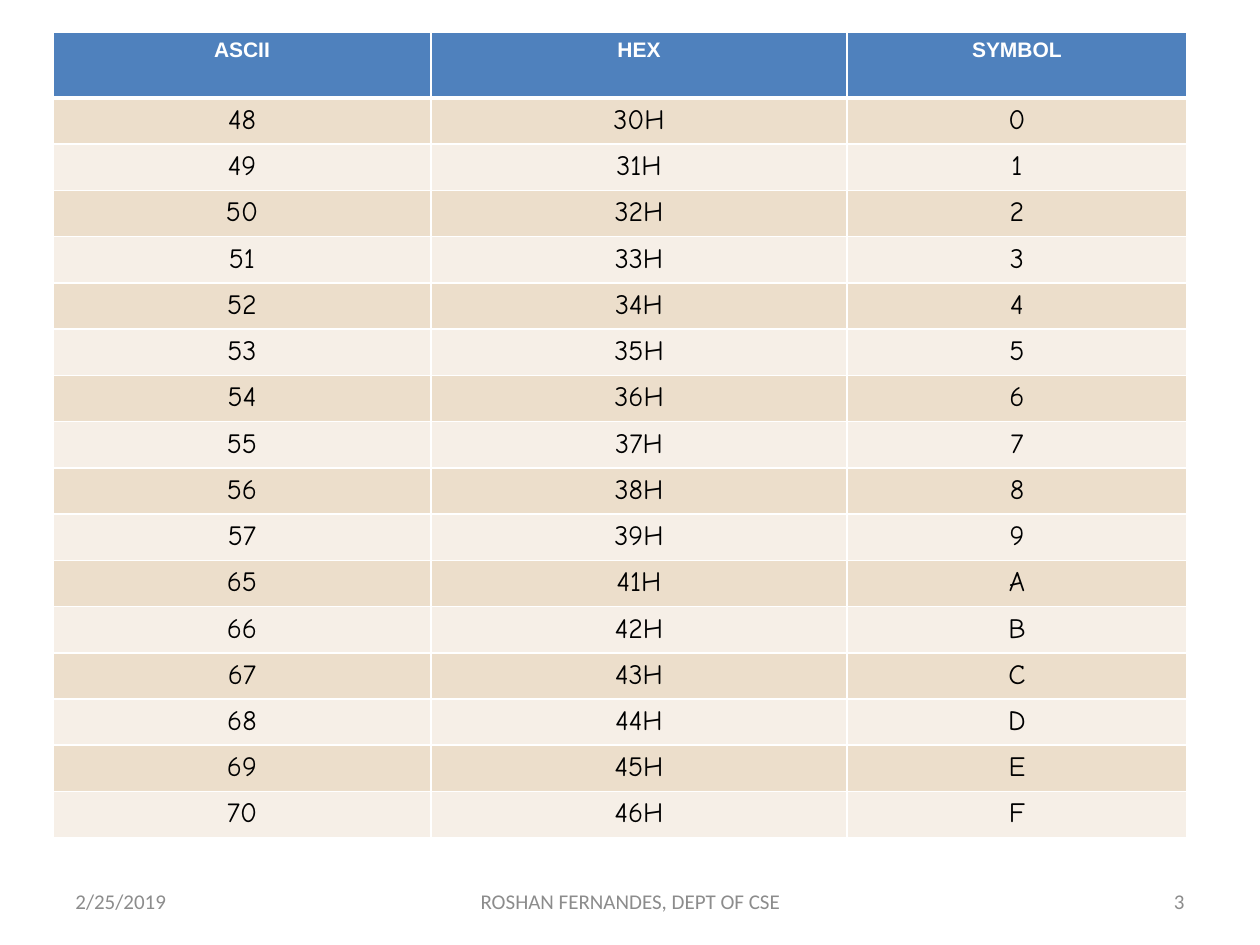
"""Build a slide with a table of ASCII codes for the hexadecimal digits."""
from lxml.etree import SubElement
from pptx import Presentation
from pptx.dml.color import RGBColor
from pptx.enum.text import MSO_ANCHOR, PP_ALIGN as Align
from pptx.oxml.ns import qn
from pptx.util import Emu, Pt

HEADINGS = ("ASCII", "HEX", "SYMBOL")
SYMBOLS = "0123456789ABCDEF"
FOOTERS = (
    ("2/25/2019", 63, 294, Align.LEFT),
    ("ROSHAN FERNANDES, DEPT OF CSE", 431, 399, Align.CENTER),
    ("3", 903, 294, Align.RIGHT),
)
COLORS = {
    "header": "4F81BD", "odd": "ECDECB", "even": "F6EFE7", "rule": "FFFFFF",
    "heading": "FFFFFF", "entry": "000000", "footer": "8C8C8C",
}
FONTS = {
    "heading": {"name": "Arial", "size": Pt(12), "bold": True},
    "entry": {"name": "Comic Neue", "size": Pt(16), "bold": False},
    "footer": {"name": "Calibri", "size": Pt(12), "bold": False},
}
TABLE_LEFT, TABLE_TOP, TABLE_HEIGHT, HEADER_HEIGHT = 53, 32, 797, 66
COLUMN_WIDTHS = (378, 416, 340)
FOOTER_TOP, FOOTER_HEIGHT = 876, 50
THIN, THICK = 1, 3


def px(length):
    return Emu(round(length * 914400 / 126))


def write(frame, text, role, align):
    paragraph = frame.paragraphs[0]
    paragraph.alignment = align
    run = paragraph.add_run()
    run.text = text
    for attribute, value in FONTS[role].items():
        setattr(run.font, attribute, value)
    run.font.color.rgb = RGBColor.from_string(COLORS[role])


def rule_cell(cell, row):
    widths = {
        "L": THIN, "R": THIN,
        "T": THICK if row == 1 else THIN,
        "B": THICK if row == 0 else THIN,
    }
    properties = cell._tc.get_or_add_tcPr()
    for side, width in widths.items():
        line = SubElement(properties, qn(f"a:ln{side}"), w=str(Pt(width)))
        fill = SubElement(line, qn("a:solidFill"))
        SubElement(fill, qn("a:srgbClr"), val=COLORS["rule"])


def add_code_table(slide):
    rows = [HEADINGS] + [(str(ord(s)), f"{ord(s):X}H", s) for s in SYMBOLS]
    table = slide.shapes.add_table(
        len(rows), len(HEADINGS), px(TABLE_LEFT), px(TABLE_TOP),
        px(sum(COLUMN_WIDTHS)), px(TABLE_HEIGHT)).table
    for column, width in zip(table.columns, COLUMN_WIDTHS):
        column.width = px(width)
    entry_height = (TABLE_HEIGHT - HEADER_HEIGHT) / len(SYMBOLS)
    for r, texts in enumerate(rows):
        table.rows[r].height = px(entry_height if r else HEADER_HEIGHT)
        band = "header" if r == 0 else "odd" if r % 2 else "even"
        for c, text in enumerate(texts):
            cell = table.cell(r, c)
            rule_cell(cell, r)
            cell.fill.solid()
            cell.fill.fore_color.rgb = RGBColor.from_string(COLORS[band])
            write(cell.text_frame, text, "entry" if r else "heading", Align.CENTER)


def add_footers(slide):
    for text, left, width, align in FOOTERS:
        frame = slide.shapes.add_textbox(
            px(left), px(FOOTER_TOP), px(width), px(FOOTER_HEIGHT)).text_frame
        frame.word_wrap = True
        frame.vertical_anchor = MSO_ANCHOR.MIDDLE
        write(frame, text, "footer", align)


def main():
    deck = Presentation()
    deck.slide_width, deck.slide_height = px(1260), px(945)
    slide = deck.slides.add_slide(deck.slide_layouts[6])
    add_footers(slide)
    add_code_table(slide)
    deck.save("out.pptx")


if __name__ == "__main__":
    main()
